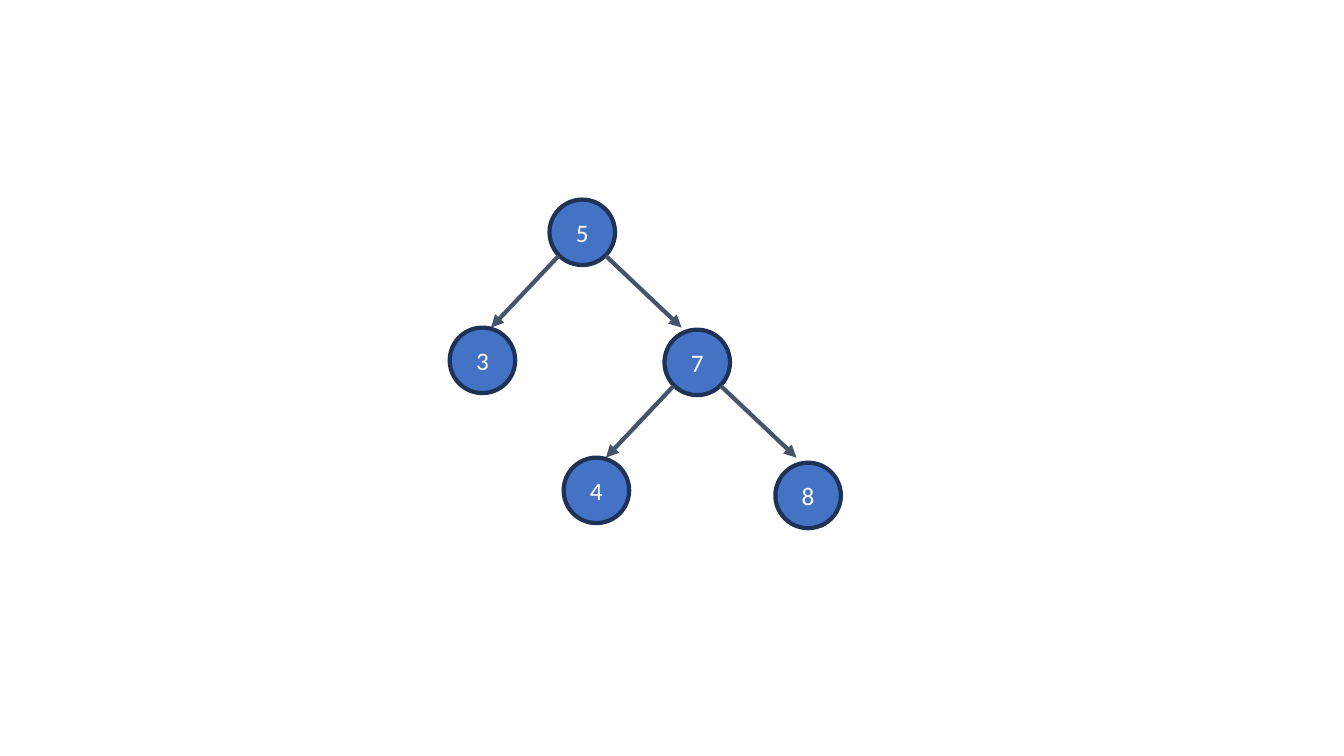
from pptx import Presentation
from pptx.dml.color import RGBColor
from pptx.enum.shapes import MSO_CONNECTOR as CONN, MSO_SHAPE as SHAPE
from pptx.enum.text import MSO_ANCHOR as ANCHOR, PP_ALIGN as ALIGN
from pptx.oxml.ns import qn
from pptx.util import Pt
from lxml.etree import SubElement

PX = 9144
NODE_SIZE = 65
LEFT_BRANCH = (9, 56, -58, 127)
RIGHT_BRANCH = (56, 56, 131, 127)


def px(n):
    return n * PX


def color(value):
    return RGBColor.from_string(value)


def put_text(sp, text, font="Calibri", size=18, fill="FFFFFF", align=ALIGN.CENTER):
    tf = sp.text_frame
    tf.margin_left = tf.margin_right = tf.margin_top = tf.margin_bottom = 0
    tf.vertical_anchor = ANCHOR.MIDDLE
    p = tf.paragraphs[0]
    p.alignment = align
    r = p.add_run()
    r.text = text
    r.font.name = font
    r.font.size = Pt(size)
    r.font.color.rgb = color(fill)


class TreeSlide:
    node_fill = "4472C4"
    node_line = "1E3256"
    arrow_line = "44546A"
    line_width = Pt(3)

    def __init__(self, slide):
        self.shapes = slide.shapes

    def node(self, text, x, y):
        sp = self.shapes.add_shape(SHAPE.OVAL, px(x), px(y), px(NODE_SIZE), px(NODE_SIZE))
        sp.shadow.inherit = False
        sp.fill.solid()
        sp.fill.fore_color.rgb = color(self.node_fill)
        sp.line.color.rgb = color(self.node_line)
        sp.line.width = self.line_width
        put_text(sp, text)

    def arrow(self, x1, y1, x2, y2):
        cn = self.shapes.add_connector(CONN.STRAIGHT, px(x1), px(y1), px(x2), px(y2))
        cn.line.color.rgb = color(self.arrow_line)
        cn.line.width = self.line_width
        SubElement(cn.line._get_or_add_ln(), qn("a:tailEnd"), type="triangle")
        SubElement(cn._element.spPr, qn("a:effectLst"))

    def parent(self, text, x, y):
        self.node(text, x, y)
        for x1, y1, x2, y2 in (LEFT_BRANCH, RIGHT_BRANCH):
            self.arrow(x + x1, y + y1, x + x2, y + y2)


def main():
    prs = Presentation()
    prs.slide_width, prs.slide_height = px(1333), px(750)
    tree = TreeSlide(prs.slides.add_slide(prs.slide_layouts[6]))
    tree.parent("5", 545, 198)
    tree.node("3", 446, 325)
    tree.parent("7", 659, 327)
    tree.node("4", 559, 454)
    tree.node("8", 769, 459)
    prs.save("out.pptx")


if __name__ == "__main__":
    main()
